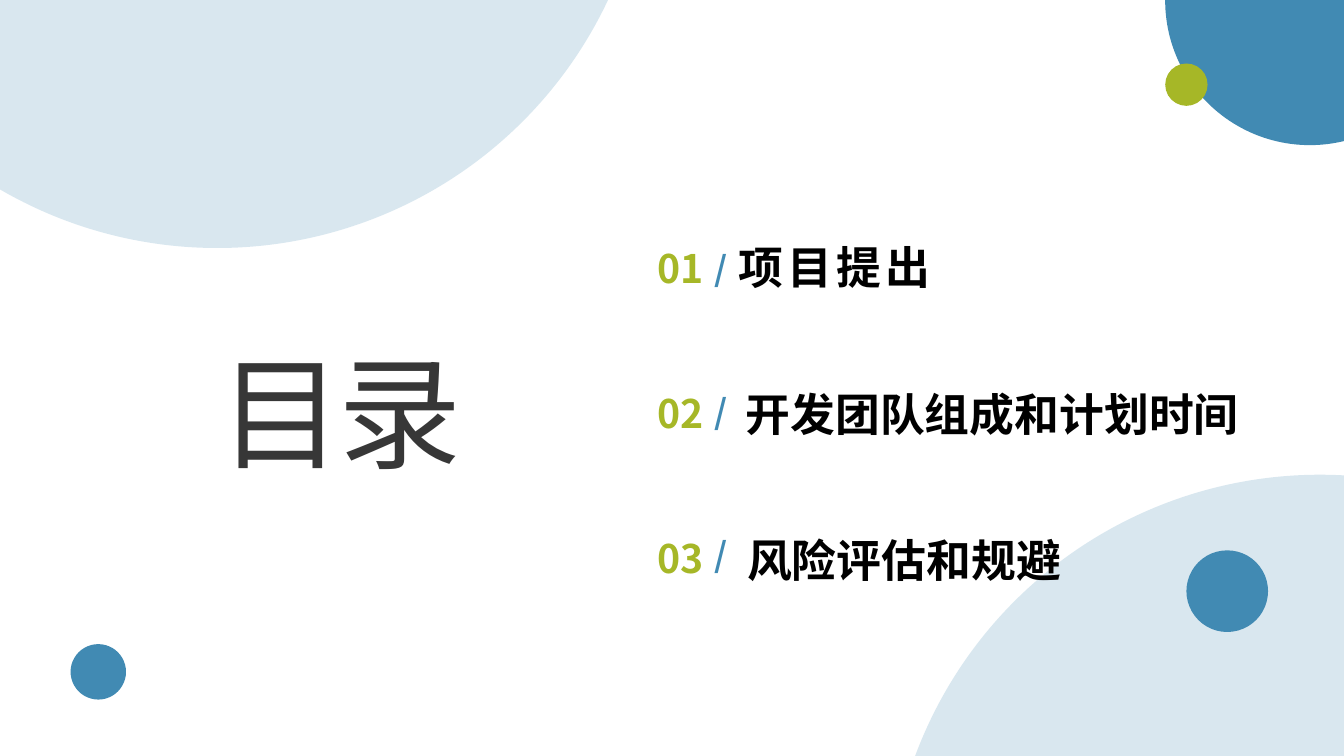
from dataclasses import dataclass

from lxml.etree import SubElement
from pptx import Presentation
from pptx.dml.color import RGBColor as Color
from pptx.enum.shapes import MSO_SHAPE as Preset
from pptx.enum.text import MSO_ANCHOR as Anchor
from pptx.enum.text import MSO_AUTO_SIZE as AutoSize
from pptx.enum.text import PP_ALIGN as Align
from pptx.oxml.ns import qn
from pptx.util import Inches, Pt

COLUMNS, ROWS = 80, 45
CELL = Inches(7.5) / ROWS


@dataclass(frozen=True)
class Theme:
    """Colours, font and type sizes of the deck."""
    blue: str = "418AB3"
    green: str = "A6B727"
    ink: str = "000000"
    heading: str = "373737"
    font: str = "Noto Sans CJK SC"
    heading_size: int = 88
    topic_size: int = 32
    number_size: int = 28
    slash_size: int = 24


@dataclass(frozen=True)
class Box:
    """A rectangle in grid cells."""
    left: float
    top: float
    width: float
    height: float

    def inner(self, left, top, width, height):
        """Return a box placed relative to this one."""
        return Box(self.left + left, self.top + top, width, height)

    def lengths(self):
        """Return left, top, width and height in slide units."""
        return [round(cells * CELL) for cells in (self.left, self.top, self.width, self.height)]


THEME = Theme()
PAGE = Box(0, 0, COLUMNS, ROWS)
CIRCLES = [
    (52.86, 28.26, 51.42, THEME.blue, 20),
    (69.36, -8.58, 17.22, THEME.blue, 100),
    (4.2, 38.34, 3.3, THEME.blue, 100),
    (-12.78, -36.66, 51.42, THEME.blue, 20),
    (69.36, 3.78, 2.52, THEME.green, 100),
    (70.62, 32.76, 4.86, THEME.blue, 100),
]
TOPICS = [
    ("项目提出", 4.68, 13.02, Align.CENTER, 3),
    ("开发团队组成和计划时间", 5.34, 30.84, Align.LEFT, 0),
    ("风险评估和规避", 5.34, 20.04, Align.CENTER, 0),
]


def write(frame, text, *, size, color, bold=False, align=Align.CENTER, spacing=0, wrap=False):
    """Fill a text frame with one formatted paragraph."""
    frame.word_wrap = wrap
    frame.auto_size = AutoSize.SHAPE_TO_FIT_TEXT
    frame.vertical_anchor = Anchor.TOP
    para = frame.paragraphs[0]
    para.alignment = align
    span = para.add_run()
    span.text = text
    span.font.name = THEME.font
    span.font.size = Pt(size)
    span.font.bold = bold
    span.font.color.rgb = Color.from_string(color)
    properties = span.font._element
    SubElement(properties, qn("a:ea")).set("typeface", THEME.font)
    if spacing:
        properties.set("spc", str(spacing * 100))


def add_label(page, box, text, **style):
    """Add a bold text box."""
    write(page.shapes.add_textbox(*box.lengths()).text_frame, text, bold=True, **style)


def add_circles(page, box):
    """Scatter the decorative circles over the box."""
    for left, top, diameter, color, opacity in CIRCLES:
        place = box.inner(left, top, diameter, diameter)
        circle = page.shapes.add_shape(Preset.FLOWCHART_CONNECTOR, *place.lengths())
        circle.shadow.inherit = False
        circle.line.fill.background()
        circle.fill.solid()
        circle.fill.fore_color.rgb = Color.from_string(color)
        if opacity < 100:
            shade = circle.fill._xPr.find(qn("a:solidFill"))[0]
            SubElement(shade, qn("a:alpha")).set("val", str(opacity * 1000))


def add_heading(page, box):
    """Place the page title in the box."""
    title = page.shapes.title
    title.left, title.top, title.width, title.height = box.lengths()
    write(title.text_frame, "目录", size=THEME.heading_size, color=THEME.heading,
          align=Align.JUSTIFY, spacing=-3, wrap=True)


def add_agenda(page, box):
    """List the numbered topics down the box."""
    for index, (topic, left, width, align, spacing) in enumerate(TOPICS):
        add_label(page, box.inner(left, 8.73 * index, width, 3.84), topic,
                  size=THEME.topic_size, color=THEME.ink, align=align, spacing=spacing)
        add_label(page, box.inner(0, 0.24 + 8.64 * index, 4.14, 3.42), f"{index + 1:02}",
                  size=THEME.number_size, color=THEME.green)
        add_label(page, box.inner(3.24, 0.48 + 8.52 * index, 2.4, 3), "/",
                  size=THEME.slash_size, color=THEME.blue, spacing=3)


def main():
    """Build and save the contents slide."""
    deck = Presentation()
    deck.slide_width, deck.slide_height = PAGE.lengths()[2:]
    page = deck.slides.add_slide(deck.slide_layouts[5])
    add_circles(page, PAGE)
    add_heading(page, PAGE.inner(12.48, 19.74, 16.86, 9.48))
    add_agenda(page, PAGE.inner(38.46, 13.98, 36.2, 21.3))
    deck.save("out.pptx")


if __name__ == "__main__":
    main()
